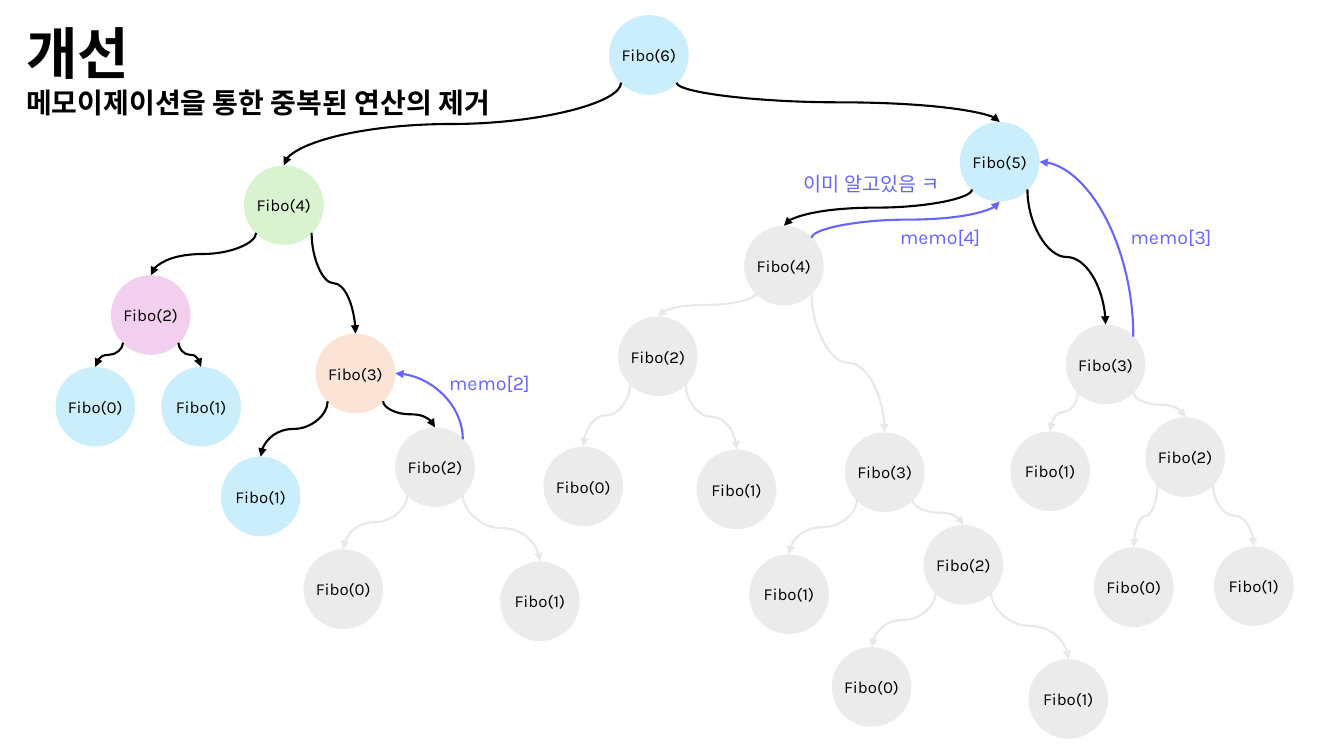
from lxml import etree
from pptx import Presentation
from pptx import util as u
from pptx.dml.color import RGBColor
from pptx.enum import shapes, text
from pptx.oxml.ns import qn

PX = 9144  # EMU per px, 100 px to the inch
FONT = "Karla"
BLACK = RGBColor(0x00, 0x00, 0x00)
BLUE = RGBColor(0xCA, 0xEE, 0xFB)
GREEN = RGBColor(0xD9, 0xF2, 0xD0)
PINK = RGBColor(0xF2, 0xCF, 0xEE)
PEACH = RGBColor(0xFB, 0xE3, 0xD6)
GREY = RGBColor(0xBF, 0xBF, 0xBF)
PALE = RGBColor(0xE8, 0xE8, 0xE8)
VIOLET = RGBColor(0x66, 0x66, 0xFF)

DIAMETER = 79
INSET = 12  # from the bounding box to the circle at 45 degrees

# Route from the root (L = left call, R = right call): n, left, top, fill.
# Grey calls are the ones that memoization skips.
CALLS = {
    "": (6, 604, 15, BLUE),
    "L": (4, 242, 164, GREEN),
    "R": (5, 952, 121, BLUE),
    "LL": (2, 110, 273, PINK),
    "LR": (3, 313, 331, PEACH),
    "LLL": (0, 55, 364, BLUE),
    "LLR": (1, 160, 364, BLUE),
    "LRL": (1, 219, 453, BLUE),
    "LRR": (2, 392, 424, GREY),
    "LRRL": (0, 301, 545, GREY),
    "LRRR": (1, 496, 557, GREY),
    "RL": (4, 738, 224, GREY),
    "RR": (3, 1057, 322, GREY),
    "RLL": (2, 613, 314, GREY),
    "RLR": (3, 838, 429, GREY),
    "RLLL": (0, 539, 443, GREY),
    "RLLR": (1, 691, 446, GREY),
    "RLRL": (1, 743, 550, GREY),
    "RLRR": (2, 916, 521, GREY),
    "RLRRL": (0, 825, 642, GREY),
    "RLRRR": (1, 1020, 654, GREY),
    "RRL": (1, 1002, 428, GREY),
    "RRR": (2, 1136, 414, GREY),
    "RRRL": (0, 1085, 543, GREY),
    "RRRR": (1, 1204, 542, GREY),
}


def emu(*lengths):
    return [u.Emu(round(v * PX)) for v in lengths]


def style(p, size, color, bold=False):
    for r in p.runs:
        r.font.name = FONT
        r.font.size = u.Pt(size)
        r.font.bold = bold
        r.font.color.rgb = color


def text_box(s, box):
    tf = s.shapes.add_textbox(*emu(*box)).text_frame
    tf.word_wrap = True
    tf.auto_size = text.MSO_AUTO_SIZE.SHAPE_TO_FIT_TEXT
    return tf


def header(s, box):
    tf = text_box(s, box)
    tf.text = "개선\n메모이제이션을 통한 중복된 연산의 제거"
    for p, size in zip(tf.paragraphs, (40, 20)):
        style(p, size, BLACK, bold=True)


def call_node(s, box, n, fill):
    sp = s.shapes.add_shape(shapes.MSO_SHAPE.OVAL, *emu(*box))
    sp.shadow.inherit = False
    sp.line.fill.background()
    sp.fill.solid()
    sp.fill.fore_color.rgb = fill
    if fill == GREY:
        color = sp.fill._xPr.find(qn("a:solidFill"))[0]
        etree.SubElement(color, qn("a:alpha")).set("val", "30000")
    tf = sp.text_frame
    tf.margin_left = tf.margin_right = 0
    tf.vertical_anchor = text.MSO_ANCHOR.MIDDLE
    tf.text = f"Fibo({n})"
    p = tf.paragraphs[0]
    p.alignment = text.PP_ALIGN.CENTER
    style(p, 12, BLACK)


def curved_arrow(s, start, end, color, quarter=False):
    """Curve that leaves start vertically; a quarter curve arrives sideways."""
    (x1, y1), (x2, y2) = start, end
    cx, cy = (x1 + x2) / 2, (y1 + y2) / 2
    # The curve is laid out sideways and then turned about its centre.
    turn = 270 if quarter or (x2 > x1 and y2 > y1) else 90
    sign = 1 if turn == 90 else -1
    half_w, half_h = sign * (y2 - y1) / 2, sign * (x1 - x2) / 2
    line = s.shapes.add_connector(
        shapes.MSO_CONNECTOR.CURVE,
        *emu(cx - half_w, cy - half_h, cx + half_w, cy + half_h))
    line.line.color.rgb = color
    line.line.width = u.Pt(1.5)
    pr = line._element.spPr
    pr.find(qn("a:xfrm")).set("rot", str(turn * 60000))
    if quarter:
        pr.find(qn("a:prstGeom")).set("prst", "curvedConnector2")
    etree.SubElement(pr.find(qn("a:ln")), qn("a:tailEnd")).set("type", "triangle")
    etree.SubElement(pr, qn("a:effectLst"))


def anchor(box, route, side):
    """Point on the circle of a call, named by its side."""
    _, x, y, _ = CALLS[route]
    near, mid, far = INSET, DIAMETER / 2, DIAMETER - INSET
    dx, dy = {
        "top": (mid, 0),
        "bottom": (mid, DIAMETER),
        "right": (DIAMETER, mid),
        "top right": (far, near),
        "L": (near, far),
        "R": (far, far),
    }[side]
    return box[0] + x + dx, box[1] + y + dy


def call_tree(s, box):
    left, top, *_ = box
    for route, (n, x, y, fill) in CALLS.items():
        call_node(s, (left + x, top + y, DIAMETER, DIAMETER), n, fill)
        if route:
            parent, side = route[:-1], route[-1]
            color = PALE if CALLS[parent][3] == GREY else BLACK
            curved_arrow(s, anchor(box, parent, side),
                         anchor(box, route, "top"), color)


def memo_lookups(s, box):
    left, top, *_ = box
    for source, target, side in (("RL", "R", "bottom"), ("RR", "R", "right"),
                                 ("LRR", "LR", "right")):
        curved_arrow(s, anchor(box, source, "top right"),
                     anchor(box, target, side), VIOLET, side == "right")
    for label, x, y in (("이미 알고있음 ㅋ", 757, 166), ("memo[4]", 825, 218),
                        ("memo[2]", 378, 363), ("memo[3]", 1054, 218)):
        tf = text_box(s, (left + x, top + y, 215, 34))
        tf.text = label
        p = tf.paragraphs[0]
        p.alignment = text.PP_ALIGN.CENTER
        style(p, 14, VIOLET)


def main():
    prs = Presentation()
    prs.slide_width, prs.slide_height = emu(1333, 750)
    s = prs.slides.add_slide(prs.slide_layouts[6])
    canvas = (0, 0, 1333, 750)
    header(s, (16, 13, 675, 111))
    call_tree(s, canvas)
    memo_lookups(s, canvas)
    prs.save("out.pptx")


if __name__ == "__main__":
    main()
